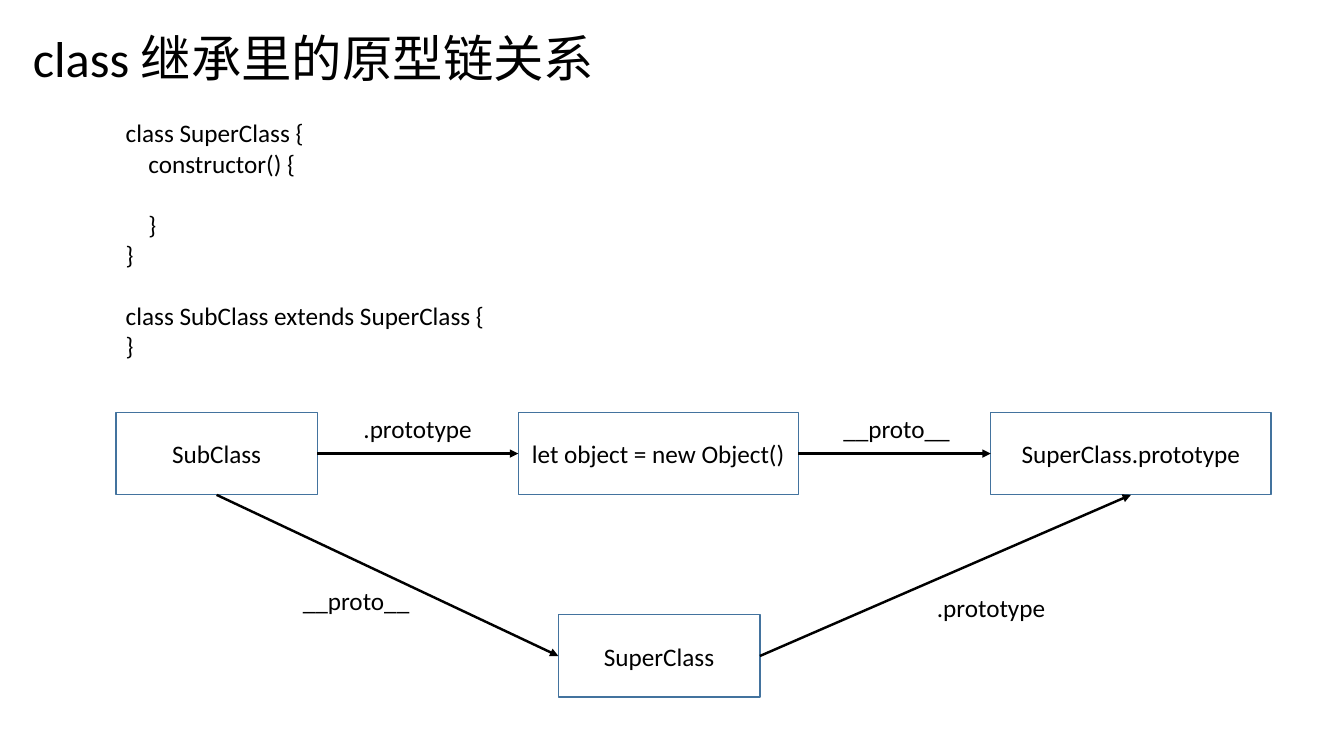
from lxml import etree
from pptx import Presentation
from pptx.dml.color import RGBColor
from pptx.enum import shapes, text
from pptx.oxml.ns import qn
from pptx.util import Cm, Pt

COLOURS = {"ink": "000000", "border": "43739E"}
FONT = "Calibri"
BODY_SIZE = 18
CODE_INDENT = Cm(0.57)
BLANK_LINE = Pt(22)
TOP, LEFT, BOTTOM, RIGHT = range(4)
NODE_HEIGHT = 2.08
TOP_ROW = 10.39

CODE = [
    ("class SuperClass {", 0, 0),
    ("constructor() {", 1, 0),
    ("}", 1, 1),
    ("}", 0, 0),
    ("class SubClass extends SuperClass {", 0, 1),
    ("}", 0, 0),
]

LABELS = [
    (".prototype", 8.71, 10.29, 3.63),
    ("__proto__", 20.55, 10.29, 4.09),
    ("__proto__", 6.93, 14.63, 4.09),
    (".prototype", 23.16, 14.81, 3.63),
]


def colour(name):
    return RGBColor.from_string(COLOURS[name])


def style(paragraph, size=BODY_SIZE, align=text.PP_ALIGN.LEFT):
    paragraph.alignment = align
    paragraph.font.size = Pt(size)
    paragraph.font.name = FONT
    paragraph.font.color.rgb = colour("ink")


def add_node(slide, name, left, top, width):
    node = slide.shapes.add_shape(
        shapes.MSO_SHAPE.RECTANGLE, Cm(left), Cm(top), Cm(width), Cm(NODE_HEIGHT))
    node.shadow.inherit = False
    node.fill.background()
    node.line.color.rgb = colour("border")
    node.line.width = Pt(1)
    node.text_frame.word_wrap = True
    node.text_frame.vertical_anchor = text.MSO_ANCHOR.MIDDLE
    node.text_frame.text = name
    style(node.text_frame.paragraphs[0], align=text.PP_ALIGN.CENTER)
    return node


def add_text(slide, words, left, top, width, height=1.02, **look):
    frame = slide.shapes.add_textbox(
        Cm(left), Cm(top), Cm(width), Cm(height)).text_frame
    frame.word_wrap = True
    frame.text = words
    for paragraph in frame.paragraphs:
        style(paragraph, **look)
    return frame


def add_code(slide, lines, left, top, width, height):
    words = "\n".join(line for line, _, _ in lines)
    frame = add_text(slide, words, left, top, width, height)
    for paragraph, (_, depth, blanks) in zip(frame.paragraphs, lines):
        paragraph.space_before = BLANK_LINE * blanks
        paragraph._p.get_or_add_pPr().set("marL", str(CODE_INDENT * depth))


def add_arrow(slide, start, start_side, end, end_side,
              kind=shapes.MSO_CONNECTOR.STRAIGHT):
    arrow = slide.shapes.add_connector(kind, 0, 0, 0, 0)
    arrow.begin_connect(start, start_side)
    arrow.end_connect(end, end_side)
    arrow.line.color.rgb = colour("ink")
    arrow.line.width = Pt(1.75)
    etree.SubElement(arrow.line._get_or_add_ln(), qn("a:tailEnd"), type="triangle")
    etree.SubElement(arrow._element.spPr, qn("a:effectLst"))


def main():
    deck = Presentation()
    deck.slide_width, deck.slide_height = Cm(33.87), Cm(19.05)
    slide = deck.slides.add_slide(deck.slide_layouts[6])

    add_text(slide, "class 继承里的原型链关系", 0.58, 0.56, 15.52, 1.79, size=36)
    add_code(slide, CODE, 2.92, 2.84, 20.35, 6.4)

    sub_class = add_node(slide, "SubClass", 2.92, TOP_ROW, 5.08)
    new_object = add_node(slide, "let object = new Object()", 13.06, TOP_ROW, 7.06)
    super_prototype = add_node(slide, "SuperClass.prototype", 24.97, TOP_ROW, 7.06)
    super_class = add_node(slide, "SuperClass", 14.07, 15.49, 5.08)

    add_arrow(slide, sub_class, RIGHT, new_object, LEFT)
    add_arrow(slide, new_object, RIGHT, super_prototype, LEFT,
              shapes.MSO_CONNECTOR.ELBOW)
    add_arrow(slide, sub_class, BOTTOM, super_class, LEFT)
    add_arrow(slide, super_class, RIGHT, super_prototype, BOTTOM)

    for words, left, top, width in LABELS:
        add_text(slide, words, left, top, width, align=text.PP_ALIGN.CENTER)

    deck.save("out.pptx")


main()
